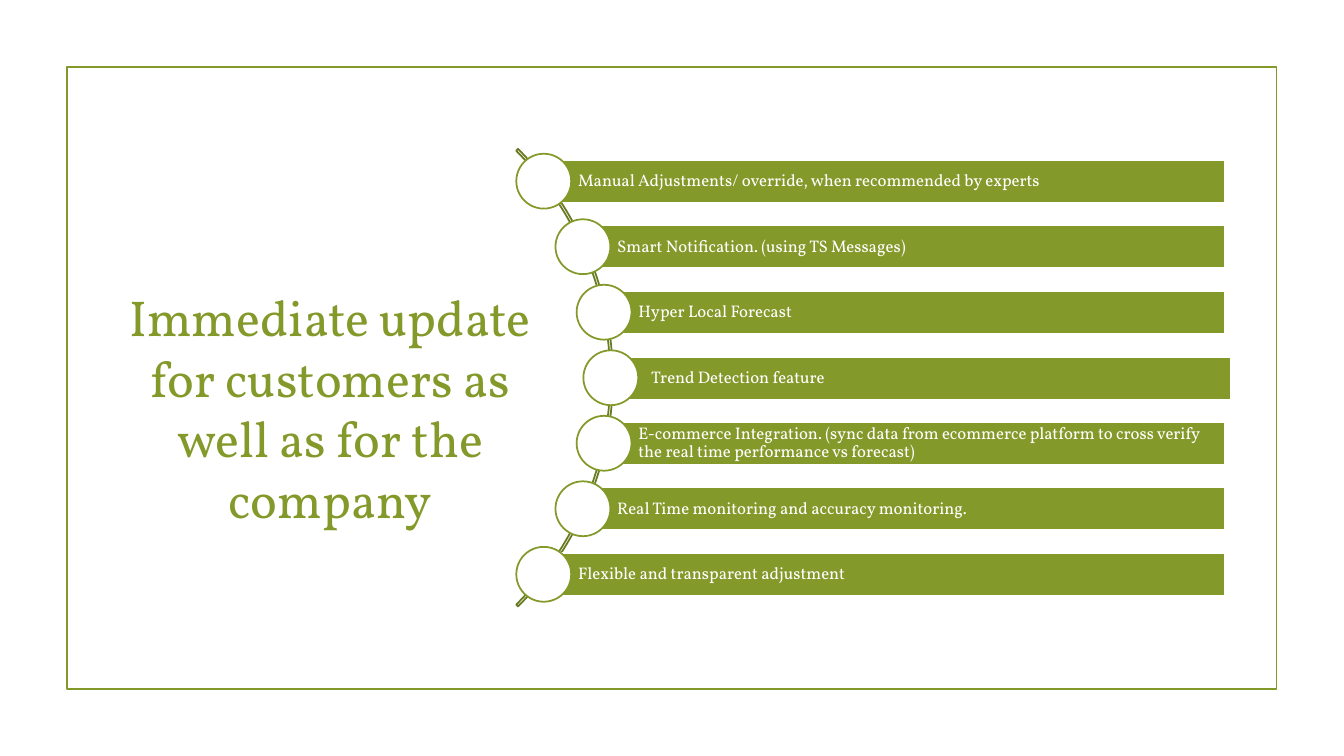
from math import sqrt

from pptx import Presentation
from pptx.dml.color import RGBColor
from pptx.enum.shapes import MSO_SHAPE
from pptx.enum.text import MSO_ANCHOR, MSO_AUTO_SIZE, PP_ALIGN
from pptx.util import Pt

FONT = "Vollkorn"
GREEN, DARK_GREEN, WHITE = "83992A", "697B22", "FFFFFF"

FEATURES = [
    "Manual Adjustments/ override, when recommended by experts",
    "Smart Notification. (using TS Messages)",
    "Hyper Local Forecast",
    "Trend Detection feature",
    "E-commerce Integration. (sync data from ecommerce platform to cross verify "
    "the real time performance vs forecast)",
    "Real Time monitoring and accuracy monitoring.",
    "Flexible and transparent adjustment",
]

ARC_X, ARC_Y, ARC_RADIUS = 206.6, 269.8, 231.1
NODE_RADIUS = 229.7  # the circles sit just inside the arc's outer edge
NODE_SIZE, BAR_HEIGHT, ROW_STEP = 39.2, 30.6, 46.8
BAR_RIGHT = 875.2
MIDDLE = len(FEATURES) // 2


def color(hex_string):
    """Turn a hex string into a colour."""
    return RGBColor.from_string(hex_string)


def add_outlined(kind, left, top, width, height, line, fill=None):
    """Add a preset shape, measured in points, with a thin outline."""
    shape = slide.shapes.add_shape(kind, Pt(left), Pt(top), Pt(width), Pt(height))
    shape.shadow.inherit = False
    shape.line.color.rgb = color(line)
    shape.line.width = Pt(1.25)
    if fill:
        shape.fill.solid()
        shape.fill.fore_color.rgb = color(fill)
    else:
        shape.fill.background()
    return shape


prs = Presentation()
prs.slide_width, prs.slide_height = Pt(960), Pt(540)
slide = prs.slides.add_slide(prs.slide_layouts[5])

# Frame and title
add_outlined(MSO_SHAPE.RECTANGLE, 47.8, 48, 864, 444.2, GREEN)

title = slide.shapes.title
title.left, title.top, title.width, title.height = Pt(69.1), Pt(200.9), Pt(333.4), Pt(180)
title_frame = title.text_frame
title_frame.text = "Immediate update for customers as well as for the company"
title_frame.word_wrap = True
title_frame.auto_size = MSO_AUTO_SIZE.SHAPE_TO_FIT_TEXT
title_frame.vertical_anchor = MSO_ANCHOR.TOP
heading = title_frame.paragraphs[0]
heading.alignment = PP_ALIGN.CENTER
heading.font.name = FONT
heading.font.size = Pt(36)
heading.font.color.rgb = color(GREEN)

# Arc that links the features
arc = add_outlined(MSO_SHAPE.BLOCK_ARC, ARC_X - ARC_RADIUS, ARC_Y - ARC_RADIUS,
                   2 * ARC_RADIUS, 2 * ARC_RADIUS, DARK_GREEN)
for index, value in enumerate((189, 27, 0.004)):
    arc.adjustments[index] = value

# One bar and one circle per feature, centred along the arc
for row, feature in enumerate(FEATURES):
    offset = (row - MIDDLE) * ROW_STEP
    node_x = ARC_X + sqrt(NODE_RADIUS ** 2 - offset ** 2)
    node_y = ARC_Y + offset
    bar_left, bar_right, bar_y = node_x, BAR_RIGHT, node_y
    if row == MIDDLE:  # the middle bar stands a little further out
        bar_left, bar_right, bar_y = node_x + 4.3, BAR_RIGHT + 4, node_y + 0.5

    bar = add_outlined(MSO_SHAPE.RECTANGLE, bar_left, bar_y - BAR_HEIGHT / 2,
                       bar_right - bar_left, BAR_HEIGHT, WHITE, GREEN)
    frame = bar.text_frame
    frame.text = feature
    frame.word_wrap = True
    frame.vertical_anchor = MSO_ANCHOR.MIDDLE
    frame.margin_left = Pt(24.5)
    frame.margin_top = frame.margin_right = frame.margin_bottom = Pt(2.2)
    label = frame.paragraphs[0]
    label.alignment = PP_ALIGN.LEFT
    label.line_spacing = 0.9
    label.font.name = FONT
    label.font.size = Pt(12)
    label.font.color.rgb = color(WHITE)

    add_outlined(MSO_SHAPE.OVAL, node_x - NODE_SIZE / 2, node_y - NODE_SIZE / 2,
                 NODE_SIZE, NODE_SIZE, GREEN, WHITE)

prs.save("out.pptx")
